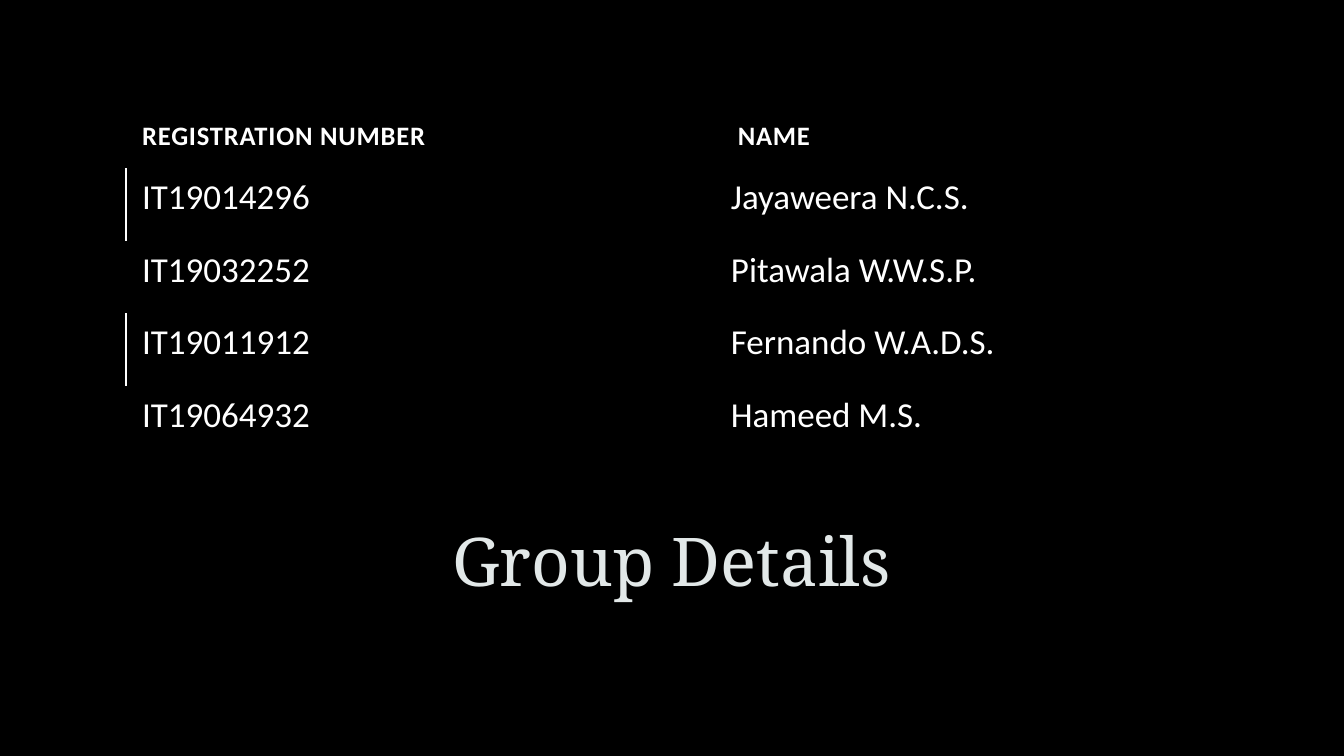
"""Build the group details slide: a member table above a large title."""
from typing import NamedTuple

from lxml import etree
from pptx import Presentation
from pptx.dml.color import RGBColor
from pptx.enum import text as t
from pptx.oxml import ns
from pptx.util import Inches, Pt

WIDTH, HEIGHT = Inches(13.33), Inches(7.5)
BLACK, WHITE, MIST, GRAPHITE = "000000", "FFFFFF", "E2E8E8", "404040"
NO_STYLE = "{2D5ABB26-0587-4C30-8999-92F81FD0307C}"


class Member(NamedTuple):
    """A group member, with a marker line or a black band."""
    number: str
    name: str
    marked: bool


class Area(NamedTuple):
    """A place on the slide, in percent of its width and height."""
    left: float
    top: float
    width: float
    height: float

    def box(self) -> tuple[int, int, int, int]:
        """Return the place as lengths."""
        return across(self.left), down(self.top), across(self.width), down(self.height)


MEMBERS = [
    Member("IT19014296", "Jayaweera N.C.S.", True),
    Member("IT19032252", "Pitawala W.W.S.P.", False),
    Member("IT19011912", "Fernando W.A.D.S.", True),
    Member("IT19064932", "Hameed M.S.", False),
]
HEADINGS = ("REGISTRATION NUMBER", " NAME")
TITLE_AREA = Area(11.25, 64.27, 77.42, 15.87)
ROSTER_AREA = Area(9.38, 9.33, 81.32, 51.33)
COLUMN_SHARES = (43.81, 37.51)
HEADING_SHARE, MEMBER_SHARE = 12.93, 9.6


def across(percent: float) -> int:
    """Return a share of the slide's width."""
    return round(WIDTH * percent / 100)


def down(percent: float) -> int:
    """Return a share of the slide's height."""
    return round(HEIGHT * percent / 100)


def colour(value: str) -> RGBColor:
    """Turn a hex string into a colour."""
    return RGBColor.from_string(value)


def line_xml(tag: str, value: str, points: float, opacity: int = 100) -> etree._Element:
    """Return a solid line element."""
    line = etree.Element(ns.qn(tag), w=str(Pt(points)))
    fill = etree.SubElement(line, ns.qn("a:solidFill"))
    shade = etree.SubElement(fill, ns.qn("a:srgbClr"), val=value)
    if opacity < 100:
        etree.SubElement(shade, ns.qn("a:alpha"), val=str(opacity * 1000))
    return line


def write(frame, words: str, *, size: float, font: str = "Calibri", ink: str = WHITE,
          bold: bool = False, spacing: float = 0, align=t.PP_ALIGN.LEFT,
          leading: float = 1.0):
    """Write one formatted paragraph and return its run."""
    paragraph = frame.paragraphs[0]
    paragraph.alignment, paragraph.line_spacing = align, leading
    run = paragraph.add_run()
    run.text = words
    run.font.name, run.font.size, run.font.bold = font, Pt(size), bold
    run.font.color.rgb = colour(ink)
    run.font._element.set("spc", str(round(spacing * 100)))
    return run


def add_title(slide) -> None:
    """Place and format the title."""
    title = slide.shapes.title
    title.left, title.top, title.width, title.height = TITLE_AREA.box()
    frame = title.text_frame
    frame.word_wrap, frame.auto_size = True, t.MSO_AUTO_SIZE.NONE
    frame.vertical_anchor = t.MSO_ANCHOR.BOTTOM
    run = write(frame, "Group Details", size=48, font="Noto Serif", ink=MIST,
                align=t.PP_ALIGN.CENTER, leading=0.9)
    run.font._element.insert(0, line_xml("a:ln", GRAPHITE, 0.75, opacity=10))


def fill_cell(cell, words: str, *, heading: bool = False, banded: bool = False) -> None:
    """Write a table cell and set its margins and fill."""
    cell.margin_left = cell.margin_right = cell.margin_bottom = Inches(0.16)
    cell.margin_top = Inches(0.16 if heading else 0.08)
    cell.vertical_anchor = t.MSO_ANCHOR.BOTTOM if heading else t.MSO_ANCHOR.TOP
    if banded:
        cell.fill.solid()
        cell.fill.fore_color.rgb = colour(BLACK)
    else:
        cell.fill.background()
    write(cell.text_frame, words, size=19 if heading else 25, bold=heading,
          spacing=0.6 if heading else 0)


def add_roster(slide) -> None:
    """Add the table of members."""
    roster = slide.shapes.add_table(len(MEMBERS) + 1, len(HEADINGS), *ROSTER_AREA.box()).table
    roster.first_row = roster.horz_banding = False
    roster._tbl.tblPr.find(ns.qn("a:tableStyleId")).text = NO_STYLE
    for column, share in zip(roster.columns, COLUMN_SHARES):
        column.width = across(share)
    for index, row in enumerate(roster.rows):
        row.height = down(MEMBER_SHARE if index else HEADING_SHARE)
    for column, heading in enumerate(HEADINGS):
        fill_cell(roster.cell(0, column), heading, heading=True)
    for index, member in enumerate(MEMBERS, start=1):
        for column, words in enumerate((member.number, member.name)):
            fill_cell(roster.cell(index, column), words, banded=not member.marked)
        if member.marked:
            properties = roster.cell(index, 0)._tc.get_or_add_tcPr()
            properties.insert(0, line_xml("a:lnL", WHITE, 1))


def main() -> None:
    """Build and save the slide."""
    deck = Presentation()
    deck.slide_width, deck.slide_height = WIDTH, HEIGHT
    slide = deck.slides.add_slide(deck.slide_layouts[5])
    slide.background.fill.solid()
    slide.background.fill.fore_color.rgb = colour(BLACK)
    add_title(slide)
    add_roster(slide)
    deck.save("out.pptx")


if __name__ == "__main__":
    main()
